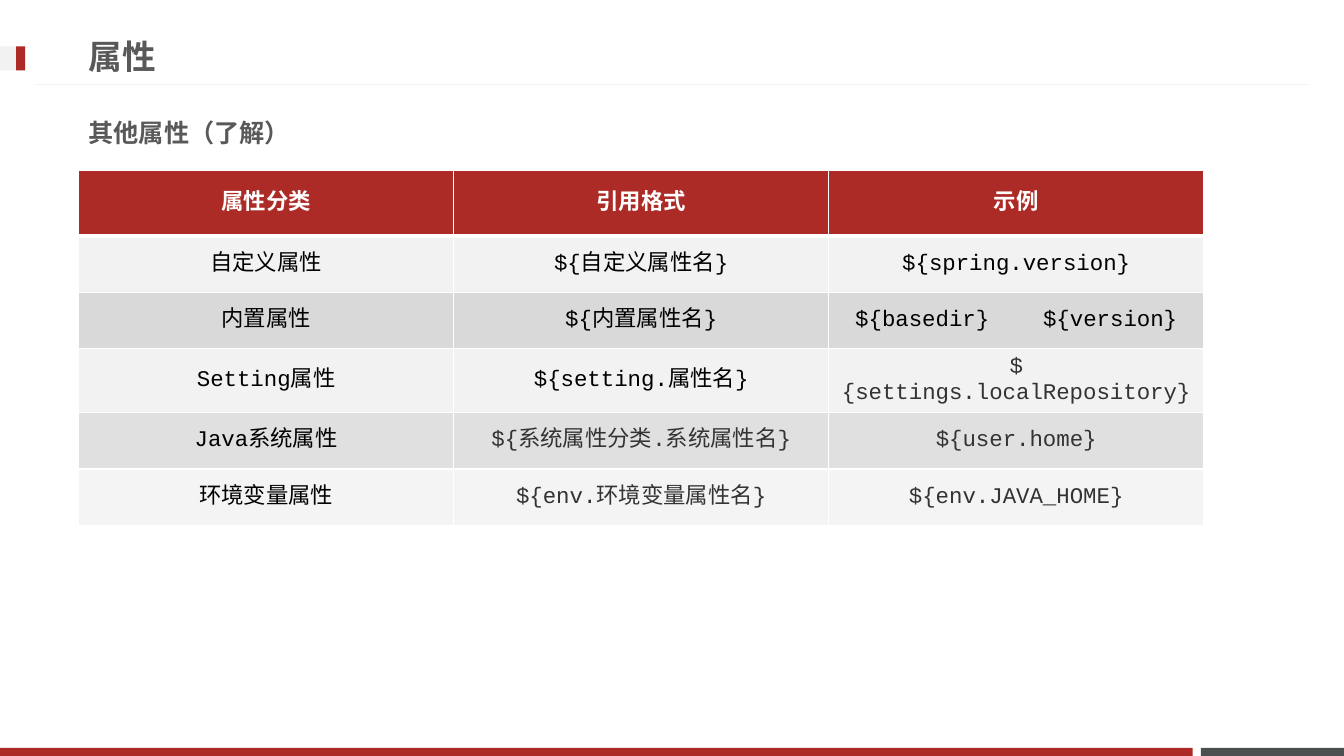
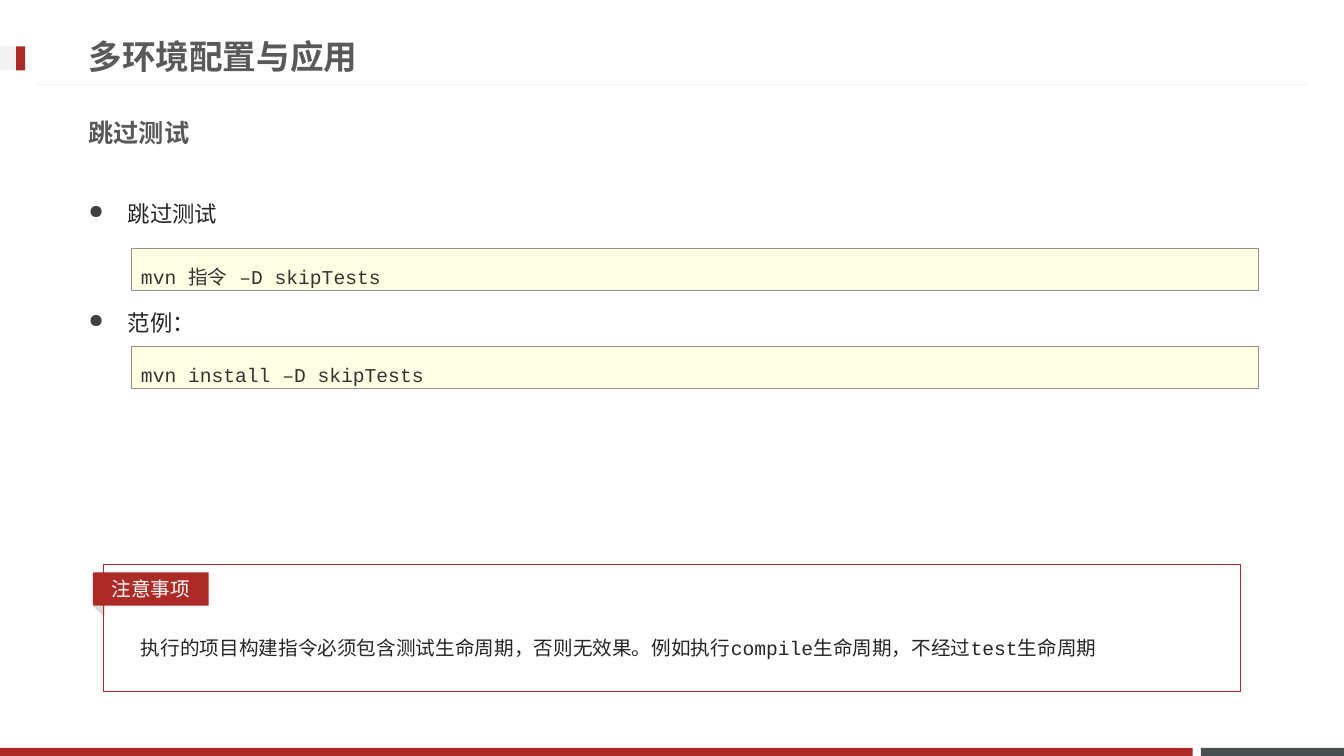
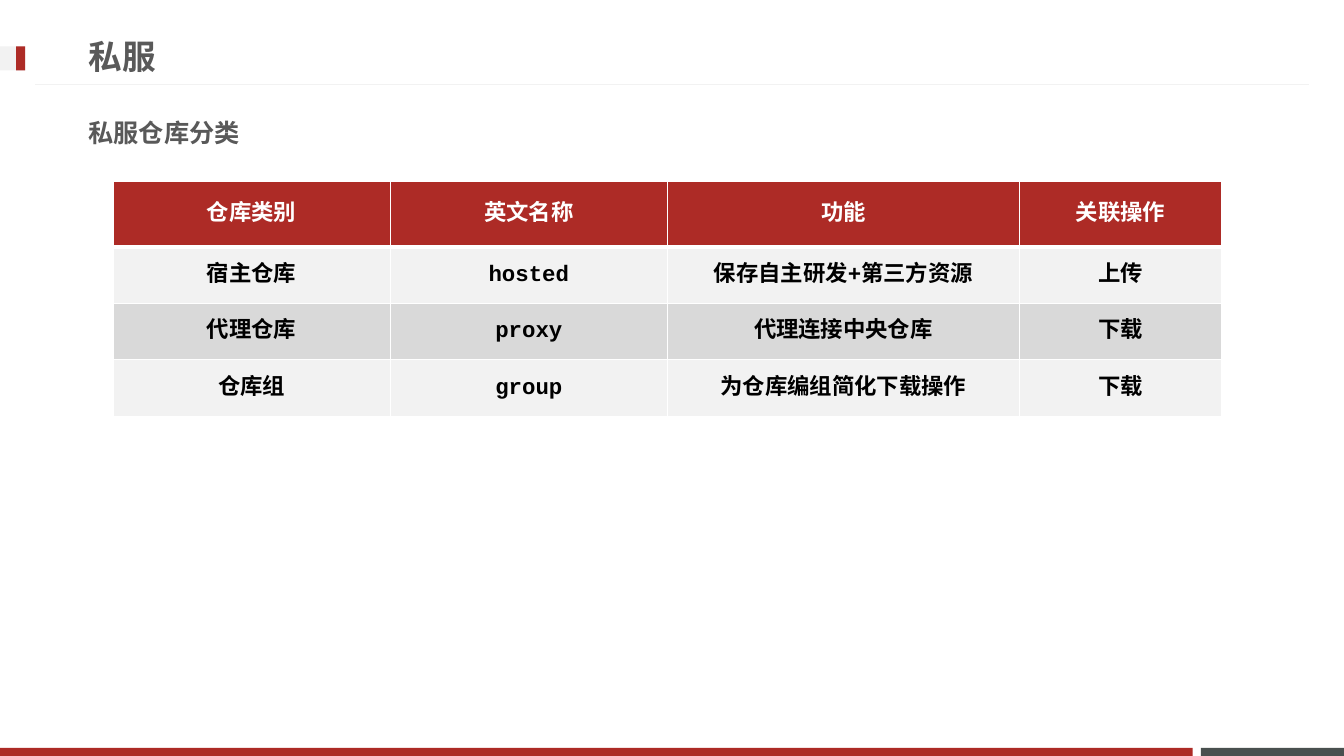
import dataclasses

import pptx
import pptx.dml.color
import pptx.enum.shapes
import pptx.enum.text
import pptx.oxml.ns
import pptx.util
from lxml import etree

Inches = pptx.util.Inches
Pt = pptx.util.Pt
SHAPES = pptx.enum.shapes.MSO_SHAPE
ALIGN = pptx.enum.text.PP_ALIGN
ANCHOR = pptx.enum.text.MSO_ANCHOR
qn = pptx.oxml.ns.qn


@dataclasses.dataclass(frozen=True)
class Theme:
    font: str = "Courier New"
    red: str = "AD2B26"
    slate: str = "49504F"
    pale: str = "F2F2F2"
    grey: str = "D9D9D9"
    heading: str = "595959"
    body: str = "262626"
    code: str = "333333"
    bullet: str = "404040"
    code_fill: str = "FFFFE4"
    code_line: str = "919191"
    white: str = "FFFFFF"
    black: str = "000000"
    title_size: int = 24
    subtitle_size: int = 18
    body_size: int = 16
    code_size: int = 14


THEME = Theme()


def rgb(color):
    return pptx.dml.color.RGBColor.from_string(color)


def add_xml(parent, tag, **attributes):
    return etree.SubElement(parent, qn(tag), attributes)


def write(frame, runs, size, color, bold=False, align=ALIGN.LEFT, spacing=1.0,
          anchor=ANCHOR.TOP, before=0, bullet=False, append=False):
    frame.word_wrap = True
    frame.vertical_anchor = anchor
    paragraph = frame.add_paragraph() if append else frame.paragraphs[0]
    paragraph.alignment = align
    paragraph.line_spacing = spacing
    paragraph.space_before = Pt(before)
    if bullet:
        add_bullet(paragraph)
    for piece in [runs] if isinstance(runs, str) else runs:
        words, tracking = (piece, 0) if isinstance(piece, str) else piece
        run = paragraph.add_run()
        run.text = words
        run.font.size = Pt(size)
        run.font.bold = bold
        run.font.color.rgb = rgb(color)
        run.font.name = THEME.font
        properties = run.font._element
        add_xml(properties, "a:ea", typeface=THEME.font)
        if tracking:
            properties.set("spc", str(round(tracking * 100)))


def add_bullet(paragraph):
    properties = paragraph._p.get_or_add_pPr()
    indent = Inches(0.39)
    properties.set("marL", str(indent))
    properties.set("indent", str(-indent))
    bullet_color = add_xml(properties, "a:buClr")
    add_xml(bullet_color, "a:srgbClr", val=THEME.bullet)
    add_xml(properties, "a:buSzPct", val="85000")
    add_xml(properties, "a:buChar", char="●")


def add_text(slide, box, runs, **style):
    label = slide.shapes.add_textbox(*map(Inches, box))
    write(label.text_frame, runs, **style)
    return label


def add_block(slide, box, fill=None, line=None, width=0.75, kind=SHAPES.RECTANGLE):
    block = slide.shapes.add_shape(kind, *map(Inches, box))
    block.shadow.inherit = False
    if fill:
        block.fill.solid()
        block.fill.fore_color.rgb = rgb(fill)
    else:
        block.fill.background()
    if line:
        block.line.color.rgb = rgb(line)
        block.line.width = Pt(width)
    else:
        block.line.fill.background()
    return block


def add_rule(slide, left, right, top):
    rule = slide.shapes.add_connector(
        pptx.enum.shapes.MSO_CONNECTOR.STRAIGHT,
        Inches(left), Inches(top), Inches(right), Inches(top))
    rule.line.color.rgb = rgb(THEME.pale)
    rule.line.width = Pt(0.75)
    add_xml(rule._element.spPr, "a:effectLst")


def add_page(deck, title, subtitle):
    slide = deck.slides.add_slide(deck.slide_layouts[6])
    add_block(slide, (11.91, 7.42, 1.42, 0.08), THEME.slate)
    add_block(slide, (0, 7.42, 11.83, 0.08), THEME.red)
    add_rule(slide, 0.35, 12.98, 0.84)
    add_block(slide, (0, 0.46, 0.25, 0.24), THEME.pale)
    add_block(slide, (0.16, 0.46, 0.09, 0.24), THEME.red)
    heading = dict(color=THEME.heading, bold=True, anchor=ANCHOR.MIDDLE)
    add_text(slide, (0.78, 0.27, 9.59, 0.57), title, size=THEME.title_size, **heading)
    add_text(slide, (0.78, 1.03, 11.76, 0.57), subtitle, size=THEME.subtitle_size, **heading)
    return slide


def border_cell(cell, top, bottom):
    properties = cell._tc.get_or_add_tcPr()
    widths = {"a:lnL": 1, "a:lnR": 1, "a:lnT": top, "a:lnB": bottom}
    for index, (side, width) in enumerate(widths.items()):
        edge = etree.Element(qn(side), w=str(Pt(width)))
        add_xml(add_xml(edge, "a:solidFill"), "a:srgbClr", val=THEME.white)
        properties.insert(index, edge)


def fill_cell(cell, color, opacity=100):
    cell.fill.solid()
    cell.fill.fore_color.rgb = rgb(color)
    if opacity < 100:
        swatch = cell._tc.tcPr.find(".//" + qn("a:srgbClr"))
        add_xml(swatch, "a:alpha", val=str(opacity * 1000))


def add_grid(slide, left, top, columns, rows, bold=False, muted=(), faded=()):
    heights = [0.65] + [0.56] * (len(rows) - 1)
    frame = slide.shapes.add_table(
        len(rows), len(columns), Inches(left), Inches(top),
        Inches(sum(columns)), Inches(sum(heights)))
    grid = frame.table
    grid.horz_banding = False
    for column, width in zip(grid.columns, columns):
        column.width = Inches(width)
    for row, height in zip(grid.rows, heights):
        row.height = Inches(height)
    for r, entries in enumerate(rows):
        header = r == 0
        band = THEME.red if header else THEME.pale if r % 2 else THEME.grey
        for c, entry in enumerate(entries):
            cell = grid.cell(r, c)
            fill_cell(cell, band, 80 if r in faded else 100)
            border_cell(cell, 3 if r == 1 else 1, 3 if header else 1)
            ink = THEME.white if header else THEME.code if (r, c) in muted else THEME.black
            write(cell.text_frame, entry, size=THEME.body_size, color=ink,
                  bold=header or bold, align=ALIGN.CENTER)
            cell.vertical_anchor = ANCHOR.MIDDLE


def add_command(slide, top, command):
    panel = add_block(slide, (1.3, top, 11.18, 0.42), THEME.code_fill, THEME.code_line, 0.25)
    write(panel.text_frame, command, size=THEME.code_size, color=THEME.code, spacing=1.5)


def add_notice(slide, label, message):
    fold = add_block(slide, (0.93, 5.99, 0.16, 0.09), THEME.grey,
                     kind=SHAPES.ISOSCELES_TRIANGLE)
    fold.rotation = 44.2
    add_text(slide, (1.3, 6.14, 11, 0.42), message, size=THEME.code_size,
             color=THEME.body, spacing=1.5)
    add_block(slide, (1.03, 5.6, 11.27, 1.26), line=THEME.red)
    tag = add_block(slide, (0.92, 5.68, 1.15, 0.33), THEME.red)
    write(tag.text_frame, label, size=THEME.code_size, color=THEME.white,
          align=ALIGN.CENTER, anchor=ANCHOR.MIDDLE)


def build_properties(deck):
    slide = add_page(deck, "属性", "其他属性（了解）")
    rows = [
        ("属性分类", "引用格式", "示例"),
        ("自定义属性", "${自定义属性名}", "${spring.version}"),
        ("内置属性", "${内置属性名}", ["${basedir}", (" ", 28.8), "${version}"]),
        ("Setting属性", "${setting.属性名}", "${settings.localRepository}"),
        ("Java系统属性", "${系统属性分类.系统属性名}", "${user.home}"),
        ("环境变量属性", "${env.环境变量属性名}", "${env.JAVA_HOME}"),
    ]
    add_grid(slide, 0.78, 1.69, [3.72] * 3, rows, faded=(4, 5),
             muted={(3, 2), (4, 1), (4, 2), (5, 1), (5, 2)})


def build_skip_tests(deck):
    slide = add_page(deck, "多环境配置与应用", "跳过测试")
    point = dict(size=THEME.body_size, color=THEME.body, spacing=1.5, bullet=True)
    points = add_text(slide, (0.78, 1.8, 11.76, 4.61), "跳过测试", **point)
    write(points.text_frame, "范例：", before=49, append=True, **point)
    add_command(slide, 2.46, "mvn 指令 –D skipTests")
    add_command(slide, 3.43, "mvn install –D skipTests")
    add_notice(slide, "注意事项",
               "执行的项目构建指令必须包含测试生命周期，否则无效果。"
               "例如执行compile生命周期，不经过test生命周期")


def build_repositories(deck):
    slide = add_page(deck, "私服", "私服仓库分类")
    rows = [
        ("仓库类别", "英文名称", "功能", "关联操作"),
        ("宿主仓库", "hosted", "保存自主研发+第三方资源", "上传"),
        ("代理仓库", "proxy", "代理连接中央仓库", "下载"),
        ("仓库组", "group", "为仓库编组简化下载操作", "下载"),
    ]
    add_grid(slide, 1.12, 1.8, [2.75, 2.75, 3.49, 2.01], rows, bold=True)


def main():
    deck = pptx.Presentation()
    deck.slide_width = Inches(13.33)
    deck.slide_height = Inches(7.5)
    build_properties(deck)
    build_skip_tests(deck)
    build_repositories(deck)
    deck.save("out.pptx")


if __name__ == "__main__":
    main()
